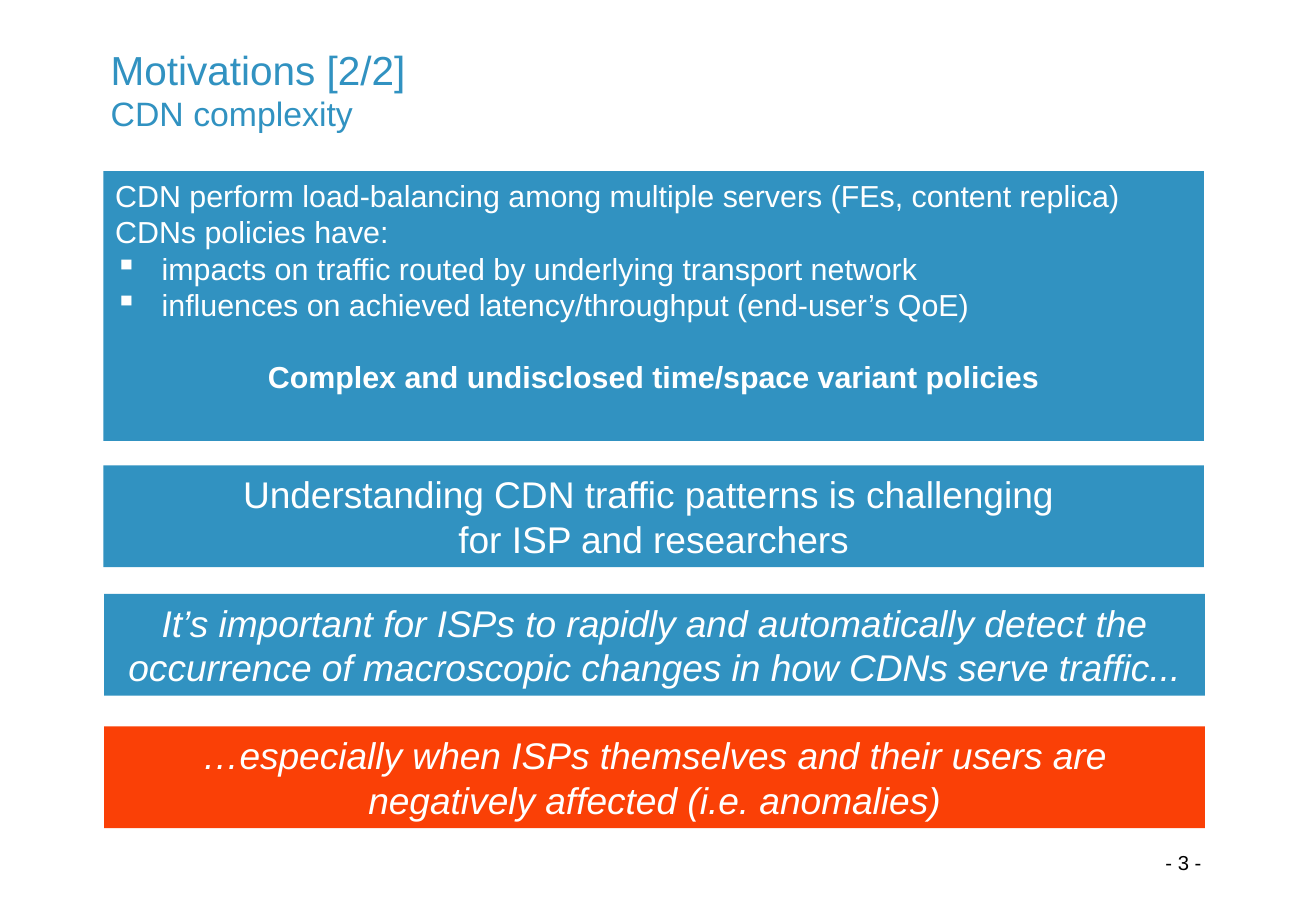
"""Build the CDN complexity motivation slide."""
from lxml import etree
from pptx import Presentation
from pptx import util as u
from pptx.dml.color import RGBColor
from pptx.enum import shapes, text
from pptx.oxml.ns import qn

COLORS = {"blue": "3192C1", "orange": "FA4006", "white": "FFFFFF", "black": "000000"}
FONT = "Arial"
BULLET_INDENT = u.Cm(0.97)
BOX_WIDTH = 23.01
BANNER_HEIGHT = 2.13

TITLE = [("Motivations [2/2]", 24), ("CDN complexity", 20)]
PAGE_NUMBER = "- 3 -"
POLICIES = [
    ("CDN perform load-balancing among multiple servers (FEs, content replica)", {}),
    ("CDNs policies have:", {}),
    ("impacts on traffic routed by underlying transport network", {"bullet": "▪"}),
    ("influences on achieved latency/throughput (end-user’s QoE)", {"bullet": "▪"}),
    ("Complex and undisclosed time/space variant policies",
     {"bold": True, "centered": True, "space_before": 20.7}),
]
BANNERS = [
    (2.16, 9.73, "blue", False,
     ["Understanding CDN traffic patterns is challenging ", "for ISP and researchers"]),
    (2.18, 12.42, "blue", True,
     ["It’s important for ISPs to rapidly and automatically detect the occurrence "
      "of macroscopic changes in how CDNs serve traffic..."]),
    (2.18, 15.19, "orange", True,
     ["…especially when ISPs themselves and their users are negatively affected "
      "(i.e. anomalies)"]),
]


def style_font(font, size, color, bold=False, italic=False):
    """Apply the slide's font settings."""
    font.name, font.size = FONT, u.Pt(size)
    font.bold, font.italic = bold, italic
    font.color.rgb = RGBColor.from_string(COLORS[color])


def write(frame, content, size=18, color="white", bold=False, italic=False,
          centered=False, bullet=None, space_before=0):
    """Write one paragraph, reusing the frame's first one while it is empty."""
    first = frame.paragraphs[0]
    paragraph = frame.add_paragraph() if first.runs else first
    paragraph.alignment = text.PP_ALIGN.CENTER if centered else text.PP_ALIGN.LEFT
    if space_before:
        paragraph.space_before = u.Pt(space_before)
    if bullet:
        properties = paragraph._p.get_or_add_pPr()
        properties.set("marL", str(BULLET_INDENT))
        properties.set("indent", str(-BULLET_INDENT))
        etree.SubElement(properties, qn("a:buChar")).set("char", bullet)
    run = paragraph.add_run()
    run.text = content
    style_font(run.font, size, color, bold, italic)


def add_box(slide, left, top, height, color, anchor=text.MSO_ANCHOR.MIDDLE):
    """Add a filled rectangle and return its text frame."""
    box = slide.shapes.add_shape(shapes.MSO_SHAPE.RECTANGLE, u.Cm(left), u.Cm(top),
                                 u.Cm(BOX_WIDTH), u.Cm(height))
    box.shadow.inherit = False
    box.fill.solid()
    box.fill.fore_color.rgb = RGBColor.from_string(COLORS[color])
    box.line.fill.background()
    box.text_frame.word_wrap = True
    box.text_frame.vertical_anchor = anchor
    return box.text_frame


def add_title(slide):
    """Place the two-line title."""
    title = slide.shapes.title
    title.left, title.top = u.Cm(2.06), u.Cm(0.76)
    title.width, title.height = u.Cm(18.06), u.Cm(2.21)
    frame = title.text_frame
    frame.auto_size = text.MSO_AUTO_SIZE.NONE
    frame.vertical_anchor = text.MSO_ANCHOR.MIDDLE
    paragraph = frame.paragraphs[0]
    paragraph.alignment = text.PP_ALIGN.LEFT
    for index, (content, size) in enumerate(TITLE):
        if index:
            paragraph.add_line_break()
        run = paragraph.add_run()
        run.text = content
        style_font(run.font, size, "blue")


def main():
    """Assemble and save the slide."""
    presentation = Presentation()
    presentation.slide_width, presentation.slide_height = u.Cm(27.51), u.Cm(19.05)
    slide = presentation.slides.add_slide(presentation.slide_layouts[5])
    add_title(slide)

    policies = add_box(slide, 2.16, 3.58, 5.64, "blue", text.MSO_ANCHOR.TOP)
    for content, options in POLICIES:
        write(policies, content, **options)

    for left, top, color, italic, lines in BANNERS:
        banner = add_box(slide, left, top, BANNER_HEIGHT, color)
        for line in lines:
            write(banner, line, size=22, italic=italic, centered=True)

    number = slide.shapes.add_textbox(u.Cm(21.77), u.Cm(17.65), u.Cm(5.94), u.Cm(1.07))
    number.text_frame.word_wrap = True
    write(number.text_frame, PAGE_NUMBER, size=12, color="black", centered=True)
    presentation.save("out.pptx")


if __name__ == "__main__":
    main()
